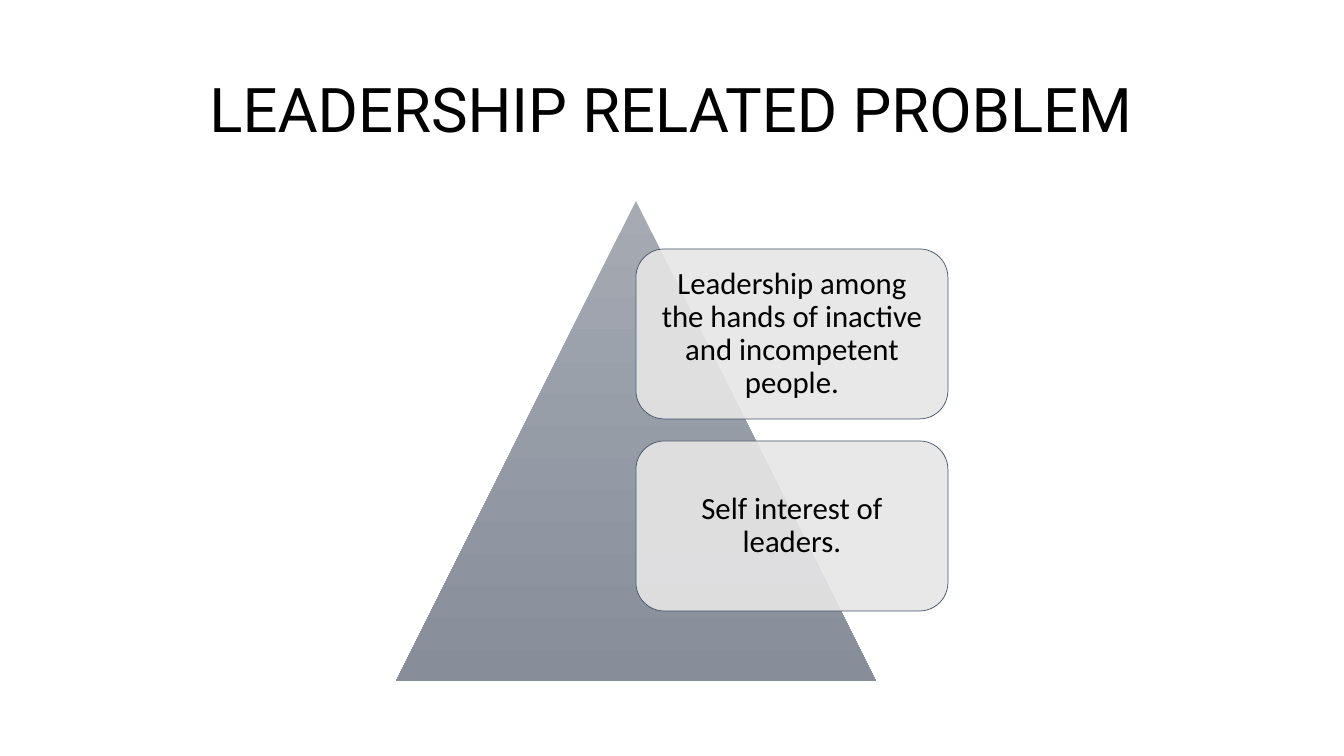
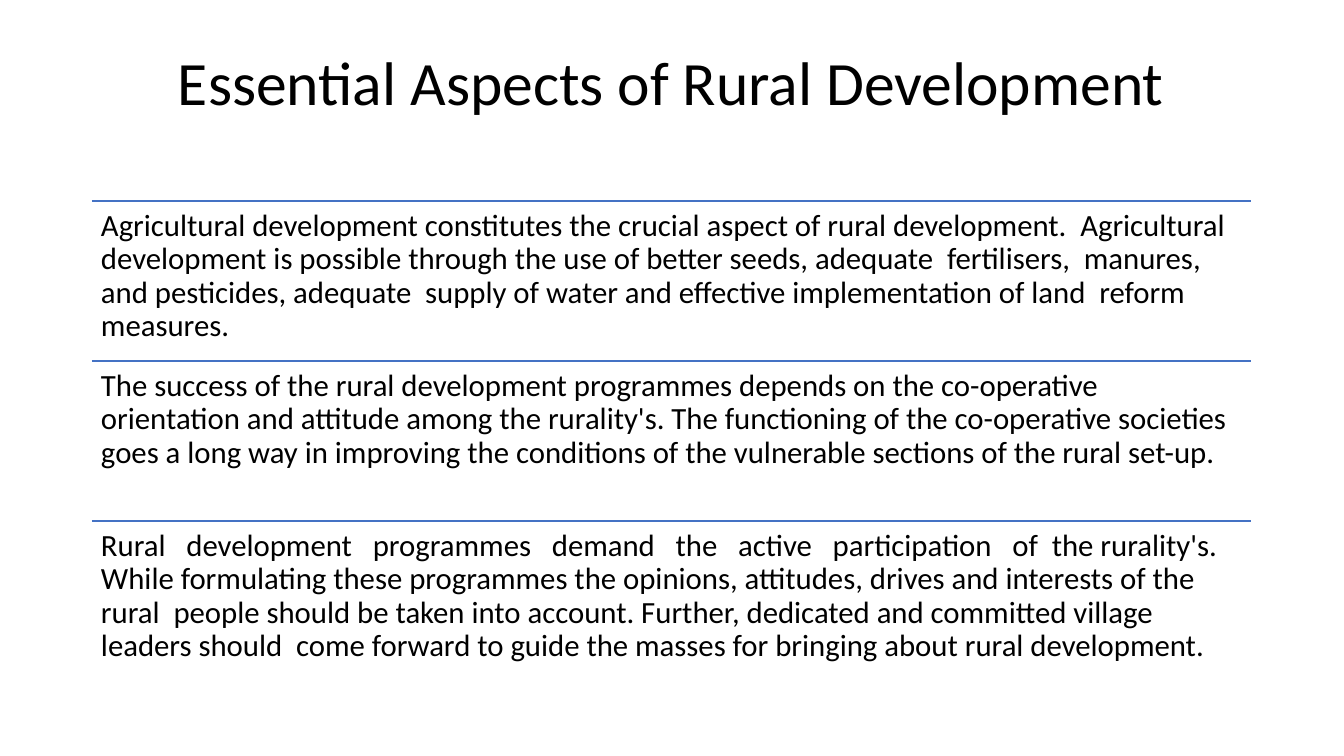
from lxml.etree import SubElement
from pptx import Presentation
from pptx.dml.color import RGBColor
from pptx.enum.shapes import MSO_CONNECTOR as Connector, MSO_SHAPE as Shape
from pptx.enum.text import MSO_ANCHOR as Anchor, PP_ALIGN as Align
from pptx.oxml.ns import qn
from pptx.util import Emu, Pt

EMU_PER_PX = 914400 / 100.8


def px(*lengths):
    return [Emu(round(length * EMU_PER_PX)) for length in lengths]


def color(value):
    return RGBColor.from_string(value)


class Slides:
    TEXT = "000000"
    RULE = "4472C4"
    CARD = "E7E6E6"
    CARD_LINE = "44546A"
    BODY_FONT = "Calibri"
    TITLE_SIZE = 44
    BODY_SIZE = 22
    LEFT = 92
    WIDTH = 1159
    INSET = 9

    def __init__(self):
        self.deck = Presentation()
        self.deck.slide_width, self.deck.slide_height = px(1344, 756)
        self.page = None

    def add_page(self):
        self.page = self.deck.slides.add_slide(self.deck.slide_layouts[6])

    def set_text(self, box, text, size, font, align, anchor):
        frame = box.text_frame
        frame.word_wrap = True
        frame.vertical_anchor = anchor
        inset, = px(self.INSET)
        frame.margin_left = frame.margin_right = inset
        frame.margin_top = frame.margin_bottom = inset
        para = frame.paragraphs[0]
        para.text = text
        para.alignment = align
        para.line_spacing = 0.9
        para.font.name = font
        para.font.size = Pt(size)
        para.font.color.rgb = color(self.TEXT)

    def title(self, text, top, height, font=BODY_FONT):
        box = self.page.shapes.add_textbox(*px(self.LEFT, top, self.WIDTH, height))
        self.set_text(box, text, self.TITLE_SIZE, font, Align.CENTER, Anchor.MIDDLE)

    def pyramid(self, left, top, side, first, last):
        triangle = self.page.shapes.add_shape(
            Shape.ISOSCELES_TRIANGLE, *px(left, top, side, side))
        triangle.shadow.inherit = False
        triangle.line.fill.background()
        triangle.fill.gradient()
        triangle.fill.gradient_angle = 270
        for stop, shade in zip(triangle.fill.gradient_stops, (first, last)):
            stop.color.rgb = color(shade)

    def card(self, text, left, top, width, height):
        card = self.page.shapes.add_shape(
            Shape.ROUNDED_RECTANGLE, *px(left, top, width, height))
        card.shadow.inherit = False
        card.fill.solid()
        card.fill.fore_color.rgb = color(self.CARD)
        shade = card._element.spPr.find(qn("a:solidFill"))[0]
        SubElement(shade, qn("a:alpha"), val="90000")
        card.line.color.rgb = color(self.CARD_LINE)
        card.line.width = Pt(0.5)
        self.set_text(card, text, self.BODY_SIZE, self.BODY_FONT, Align.CENTER, Anchor.MIDDLE)

    def rule(self, top):
        line = self.page.shapes.add_connector(
            Connector.STRAIGHT, *px(self.LEFT, top, self.LEFT + self.WIDTH, top))
        line.line.color.rgb = color(self.RULE)
        line.line.width = Pt(1)
        SubElement(line._element.spPr, qn("a:effectLst"))

    def ruled_text(self, text, top, height):
        self.rule(top)
        box = self.page.shapes.add_textbox(*px(self.LEFT, top, self.WIDTH, height))
        self.set_text(box, text, self.BODY_SIZE, self.BODY_FONT, Align.LEFT, Anchor.TOP)


PROBLEMS = [
    "Leadership among the hands of inactive and incompetent people.",
    "Self interest of leaders.",
]

ASPECTS = [
    "Agricultural development constitutes the crucial aspect of rural development.  "
    "Agricultural development is possible through the use of better seeds, adequate  "
    "fertilisers,  manures, and pesticides, adequate  supply of water and effective "
    "implementation of land  reform measures.",
    "The success of the rural development programmes depends on the co-operative  "
    "orientation and attitude among the rurality's. The functioning of the co-operative "
    "societies  goes a long way in improving the conditions of the vulnerable sections "
    "of the rural set-up.",
    "Rural   development   programmes   demand   the   active   participation   of  "
    "the rurality's. While formulating these programmes the opinions, attitudes, drives "
    "and interests of the rural  people should be taken into account. Further, dedicated "
    "and committed village leaders should  come forward to guide the masses for bringing "
    "about rural development.",
]


def main():
    slides = Slides()

    slides.add_page()
    slides.title("LEADERSHIP RELATED PROBLEM", 40, 146, "Roboto")
    slides.pyramid(396, 201, 480, "A5AAB3", "878E9A")
    for index, problem in enumerate(PROBLEMS):
        slides.card(problem, 636, 249 + index * 192, 312, 170)

    slides.add_page()
    slides.title("Essential Aspects of Rural Development", 43, 86)
    for index, aspect in enumerate(ASPECTS):
        slides.ruled_text(aspect, 201 + index * 160, 160)

    slides.deck.save("out.pptx")


if __name__ == "__main__":
    main()
